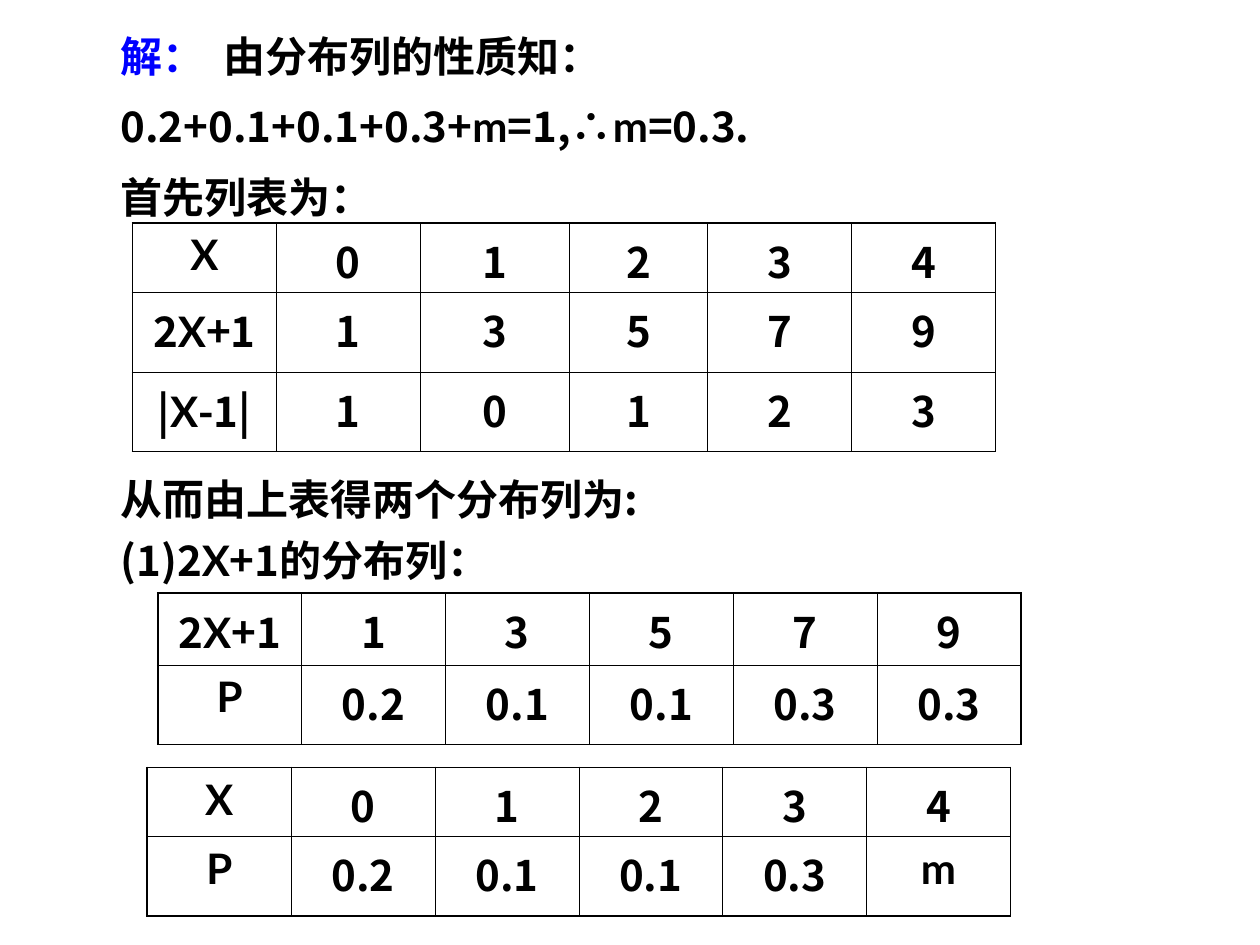
from dataclasses import dataclass
from itertools import groupby

from lxml import etree
from pptx import Presentation
from pptx import util as u
from pptx.dml.color import RGBColor
from pptx.enum import text
from pptx.oxml.ns import qn


@dataclass(frozen=True)
class Theme:
    ink: str = "000000"
    accent: str = "0000FF"
    size: float = 24
    cjk_font: str = "Noto Sans CJK SC"
    variable_font: str = "Lato"
    outer_line: float = 1.08
    inner_line: float = 0.45
    loose_line: float = 40.3
    tight_line: float = 34.6


THEME = Theme()
VARIABLES = "XPm"
COLUMN = 2.9


def set_values(target, values):
    for name, value in values.items():
        setattr(target, name, value)


def add_text(paragraph, content, color=THEME.ink):
    """Write the content, with the variables X, P and m in their own font."""
    for is_variable, letters in groupby(content, lambda letter: letter in VARIABLES):
        run = paragraph.add_run()
        run.text = "".join(letters)
        name = THEME.variable_font if is_variable else THEME.cjk_font
        set_values(run.font, {"name": name, "size": u.Pt(THEME.size), "bold": True})
        run.font.color.rgb = RGBColor.from_string(color)
        east_asian = etree.SubElement(run.font._element, qn("a:ea"))
        east_asian.set("typeface", name)


def add_tab_stop(paragraph, position):
    stops = etree.SubElement(paragraph._p.get_or_add_pPr(), qn("a:tabLst"))
    etree.SubElement(stops, qn("a:tab"), pos=str(position), algn="l")


def add_solution(slide, left, top, width, height, lines):
    """Each line is (parts, line spacing, space before); a part is (text, colour)."""
    frame = slide.shapes.add_textbox(left, top, width, height).text_frame
    frame.word_wrap = False
    for index, (parts, spacing, before) in enumerate(lines):
        paragraph = frame.paragraphs[0] if index == 0 else frame.add_paragraph()
        paragraph.line_spacing = u.Pt(spacing)
        if before:
            paragraph.space_before = u.Pt(before)
        if len(parts) > 1:
            add_tab_stop(paragraph, u.Cm(2.08))
        for content, color in parts:
            add_text(paragraph, content, color)


def add_border(cell, side, width):
    line = etree.SubElement(cell._tc.get_or_add_tcPr(), qn(f"a:ln{side}"),
                            w=str(u.Pt(width)))
    fill = etree.SubElement(line, qn("a:solidFill"))
    etree.SubElement(fill, qn("a:srgbClr"), val=THEME.ink)


def add_grid(slide, left, top, widths, heights, rows):
    frame = slide.shapes.add_table(len(rows), len(widths), left, top,
                                   u.Cm(sum(widths)), u.Cm(sum(heights)))
    table = frame.table
    set_values(table, {"first_row": False, "horz_banding": False})
    for column, width in zip(table.columns, widths):
        column.width = u.Cm(width)
    last_row, last_column = len(rows) - 1, len(widths) - 1
    for r, (row, height) in enumerate(zip(rows, heights)):
        table.rows[r].height = u.Cm(height)
        for c, content in enumerate(row):
            cell = table.cell(r, c)
            outer = {"L": c == 0, "R": c == last_column, "T": r == 0, "B": r == last_row}
            for side, is_outer in outer.items():
                add_border(cell, side, THEME.outer_line if is_outer else THEME.inner_line)
            cell.fill.background()
            set_values(cell, {"margin_bottom": 0, "vertical_anchor": text.MSO_ANCHOR.TOP})
            paragraph = cell.text_frame.paragraphs[0]
            paragraph.alignment = text.PP_ALIGN.CENTER
            add_text(paragraph, content)


def main():
    presentation = Presentation()
    set_values(presentation, {"slide_width": u.Cm(25.4), "slide_height": u.Cm(19.05)})
    slide = presentation.slides.add_slide(presentation.slide_layouts[6])

    ink, loose, tight = THEME.ink, THEME.loose_line, THEME.tight_line
    add_solution(slide, u.Cm(2.18), u.Cm(0.08), u.Cm(20), u.Cm(17), [
        ([("解：", THEME.accent), ("\t由分布列的性质知：", ink)], loose, 0),
        ([("0.2+0.1+0.1+0.3+m=1,∴m=0.3.", ink)], loose, 0),
        ([("首先列表为：", ink)], loose, 0),
        ([("从而由上表得两个分布列为:", ink)], tight, 4 * tight),
        ([("(1)2X+1的分布列：", ink)], tight, 0),
    ])

    values = ["X", "0", "1", "2", "3", "4"]
    doubled = ["2X+1", "1", "3", "5", "7", "9"]
    distances = ["|X-1|", "1", "0", "1", "2", "3"]
    chances = ["P", "0.2", "0.1", "0.1", "0.3"]
    equal = [COLUMN] * len(values)
    add_grid(slide, u.Cm(2.67), u.Cm(4.5), [2.9, 2.9, 3, 2.8, 2.9, 2.9], [1.4, 1.6, 1.6],
             [values, doubled, distances])
    add_grid(slide, u.Cm(3.18), u.Cm(11.96), equal, [1.45, 1.6],
             [doubled, chances + ["0.3"]])
    add_grid(slide, u.Cm(2.97), u.Cm(15.47), equal, [1.4, 1.6],
             [values, chances + ["m"]])
    presentation.save("out.pptx")


if __name__ == "__main__":
    main()
